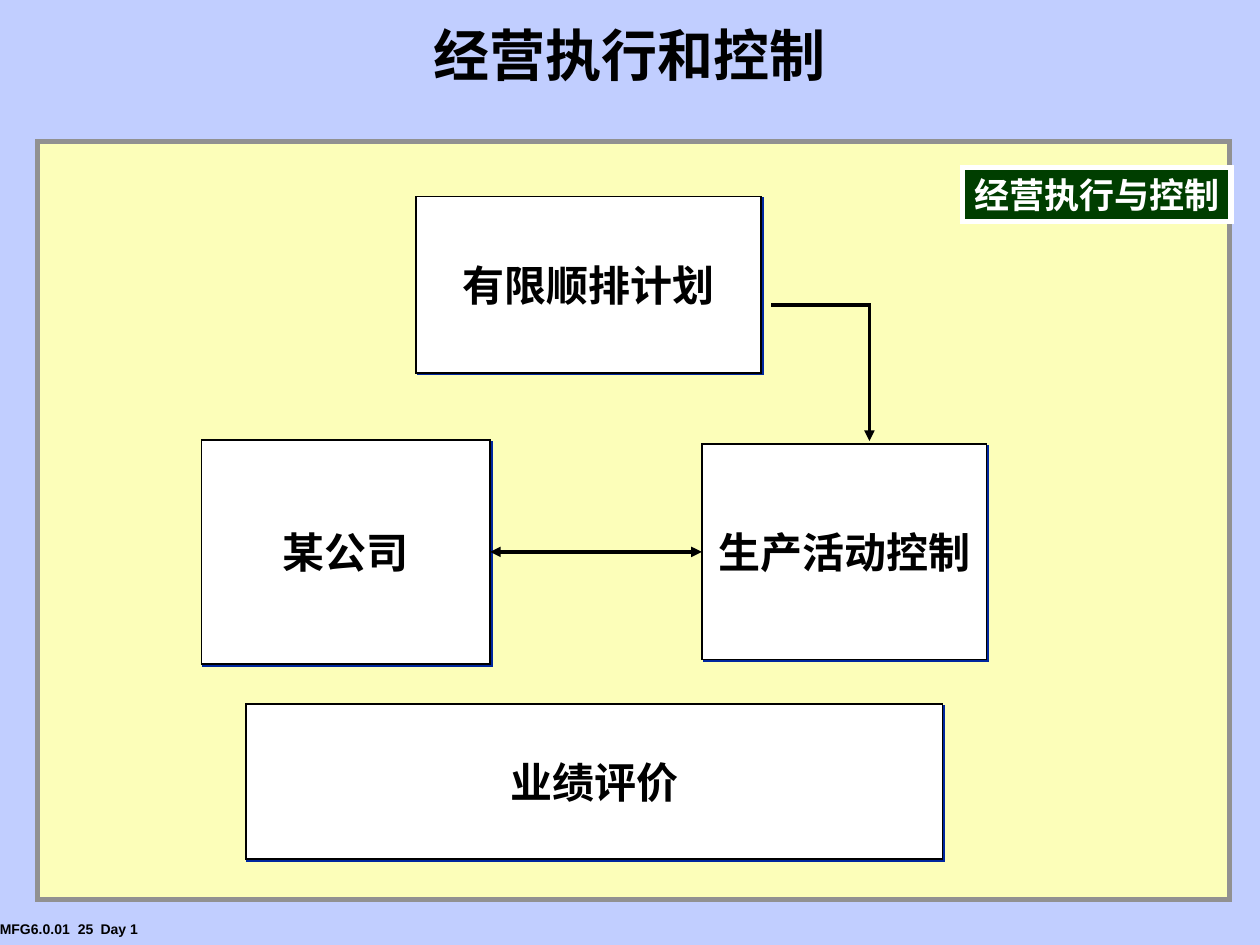
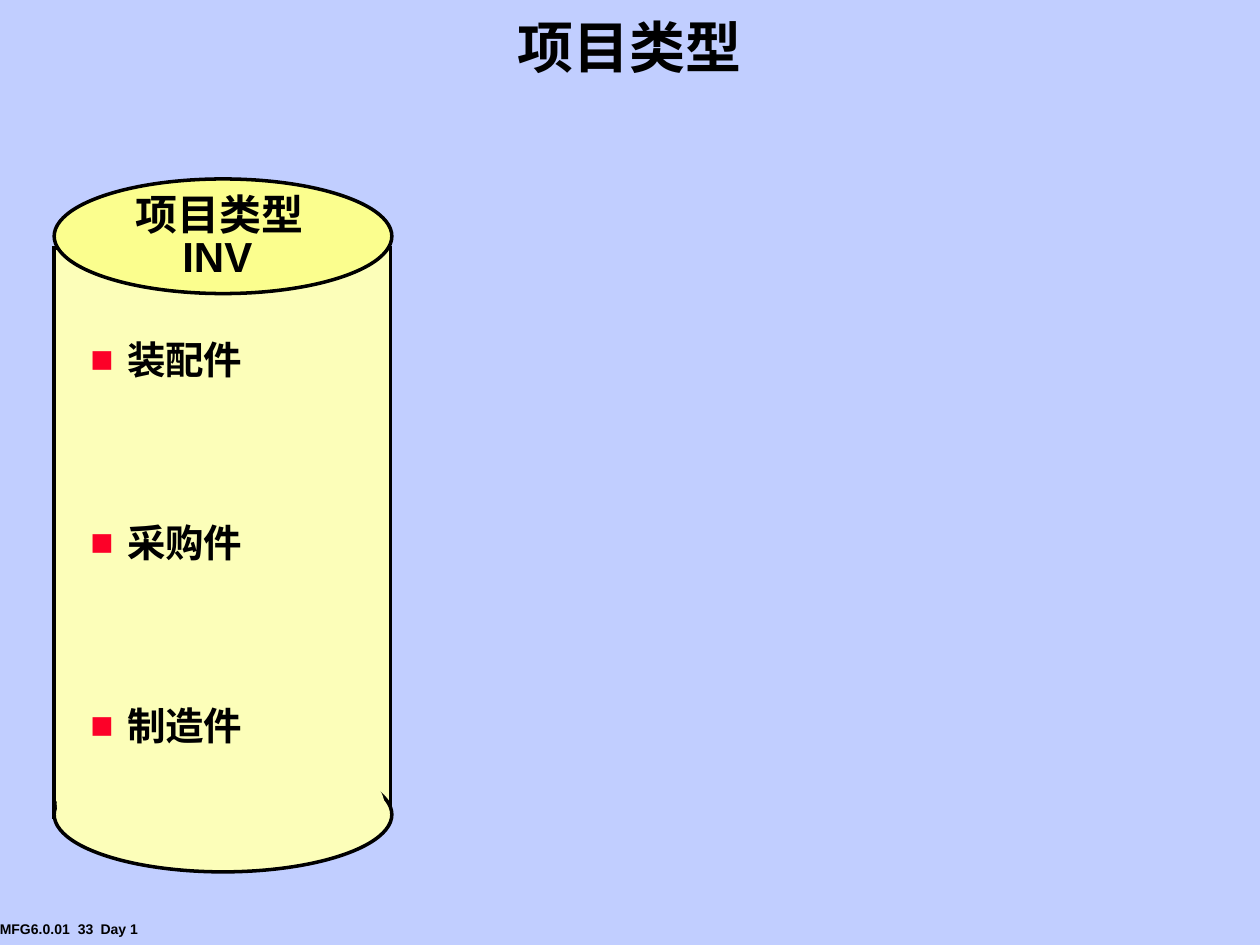
from lxml import etree
from pptx import Presentation
from pptx.dml.color import RGBColor
from pptx.enum.shapes import MSO_CONNECTOR, MSO_SHAPE
from pptx.enum.text import MSO_ANCHOR, MSO_AUTO_SIZE, PP_ALIGN
from pptx.oxml.ns import qn
from pptx.util import Inches, Pt

RECT, OVAL = MSO_SHAPE.RECTANGLE, MSO_SHAPE.OVAL
STRAIGHT = MSO_CONNECTOR.STRAIGHT
LEFT, CENTER = PP_ALIGN.LEFT, PP_ALIGN.CENTER
TOP, MIDDLE = MSO_ANCHOR.TOP, MSO_ANCHOR.MIDDLE
GROW = MSO_AUTO_SIZE.SHAPE_TO_FIT_TEXT

COLS, ROWS = 100, 75
WIDTH, HEIGHT = Inches(10), Inches(7.5)
LATIN, CJK = "Arial", "Noto Sans CJK SC"
BLACK, WHITE, GREEN, RED = "000000", "FFFFFF", "003E00", "FC0128"
SKY, CREAM, YELLOW = "C1CEFF", "FCFEB9", "FBFE8E"
GRAY, NAVY = "919191", "00279F"


def rgb(value):
    """Turn a hex string into a colour."""
    return RGBColor.from_string(value)


def at(col, row):
    """Turn a grid column and row into slide lengths."""
    return round(WIDTH * col / COLS), round(HEIGHT * row / ROWS)


def sub(parent, tag, **attrs):
    """Append a drawing element with its attributes."""
    return etree.SubElement(parent, qn(tag), attrs)


def add_bullet(p, hang):
    """Give a paragraph a red square bullet with a hanging indent."""
    pPr = p._p.get_or_add_pPr()
    indent = at(hang, 0)[0]
    pPr.set("marL", str(indent))
    pPr.set("indent", str(-indent))
    sub(sub(pPr, "a:buClr"), "a:srgbClr", val=RED)
    sub(pPr, "a:buFont", typeface=LATIN)
    sub(pPr, "a:buChar", char="■")


def add_tabs(p, stops):
    """Set left tab stops, given in grid columns."""
    tabs = sub(p._p.get_or_add_pPr(), "a:tabLst")
    for stop in stops:
        sub(tabs, "a:tab", pos=str(at(stop, 0)[0]), algn="l")


def write(sp, text, size=24, font=LATIN, color=BLACK, align=LEFT, anchor=TOP,
          wrap=False, grow=False, inset=1, spacing=None, hang=None, tabs=None):
    """Write one bold paragraph into a shape."""
    tf = sp.text_frame
    tf.word_wrap = wrap
    tf.vertical_anchor = anchor
    tf.margin_left = tf.margin_right = at(inset, 0)[0]
    if grow:
        tf.auto_size = GROW
    p = tf.paragraphs[0]
    p.alignment = align
    if spacing:
        p.line_spacing = spacing
    if hang:
        add_bullet(p, hang)
    if tabs:
        add_tabs(p, tabs)
    r = p.add_run()
    r.text = text
    r.font.size, r.font.bold, r.font.name = Pt(size), True, font
    r.font.color.rgb = rgb(color)
    sub(r._r.get_or_add_rPr(), "a:ea", typeface=font)


def add_label(s, box, text, **fmt):
    """Add a text box on the grid."""
    sp = s.shapes.add_textbox(*at(*box[:2]), *at(*box[2:]))
    write(sp, text, **fmt)


def style_line(sp, color, weight):
    """Colour a line and give it square corners."""
    sp.line.color.rgb = rgb(color)
    sp.line.width = Pt(weight)
    sub(sp.line._get_or_add_ln(), "a:miter", lim="800000")


def add_panel(s, kind, box, fill, line=None, weight=2):
    """Add a flat filled shape on the grid."""
    sp = s.shapes.add_shape(kind, *at(*box[:2]), *at(*box[2:]))
    sp.shadow.inherit = False
    sp.fill.solid()
    sp.fill.fore_color.rgb = rgb(fill)
    if line:
        style_line(sp, line, weight)
    else:
        sp.line.fill.background()
    return sp


def add_step(s, box, text):
    """Add a white process box with a hard navy shadow."""
    sp = add_panel(s, RECT, box, WHITE, BLACK, 1)
    effects = sp._element.spPr.find(qn("a:effectLst"))
    shadow = sub(effects, "a:outerShdw", dist=str(Pt(1.4)), dir="2700000",
                 algn="ctr", rotWithShape="0")
    sub(shadow, "a:srgbClr", val=NAVY)
    write(sp, text, font=CJK, align=CENTER, anchor=MIDDLE)
    return sp


def style_arrow(sp, *ends):
    """Draw a line in black with triangles at the named ends."""
    style_line(sp, BLACK, 2)
    for end in ends:
        sub(sp.line._get_or_add_ln(), "a:" + end, type="triangle")


def add_double_arrow(s, left_box, right_box):
    """Join the facing sides of two boxes with a two-way arrow."""
    line = s.shapes.add_connector(STRAIGHT, 0, 0, 0, 0)
    line.begin_connect(left_box, 3)
    line.end_connect(right_box, 1)
    style_arrow(line, "headEnd", "tailEnd")
    sub(line._element.spPr, "a:effectLst")


def add_bent_arrow(s, start, *points):
    """Add an open path with an arrowhead at its end."""
    path = s.shapes.build_freeform(*at(*start))
    path.add_line_segments([at(*point) for point in points], close=False)
    sp = path.convert_to_shape()
    sp.shadow.inherit = False
    sp.fill.background()
    style_arrow(sp, "tailEnd")


def add_slide(prs, title, number, title_box, font):
    """Add a slide with its title and footer."""
    s = prs.slides.add_slide(prs.slide_layouts[6])
    add_label(s, (-1, 72.6, 15, 2.3), f"MFG6.0.01\t{number}\tDay 1", size=8,
              wrap=True, tabs=(6.2, 8))
    add_label(s, title_box, title, size=32, font=font, align=CENTER,
              anchor=MIDDLE, wrap=True, spacing=0.9)
    return s


def add_execution_slide(prs):
    """Build the execution and control flow."""
    s = add_slide(prs, "经营执行和控制", 25, (5.8, 1.2, 88.3, 6.8), CJK)
    add_panel(s, RECT, (3, 11.2, 94.6, 60.2), CREAM, GRAY, 3)
    tag = add_panel(s, RECT, (76.4, 13.3, 21.3, 4.3), GREEN, WHITE, 3)
    write(tag, "经营执行与控制", size=20, font=CJK, color=WHITE, align=CENTER,
          inset=0.2)
    add_step(s, (33, 15.6, 27.4, 14), "有限顺排计划")
    add_step(s, (19.5, 55.9, 55.3, 12.3), "业绩评价")
    activity = add_step(s, (55.7, 35.25, 22.6, 17.1), "生产活动控制")
    company = add_step(s, (16, 34.9, 22.9, 17.8), "某公司")
    add_double_arrow(s, company, activity)
    add_bent_arrow(s, (61.2, 24.2), (69, 24.2), (69, 35))


def add_item_types_slide(prs):
    """Build the item type cylinder with its list."""
    s = add_slide(prs, "项目类型", 33, (0, 0.6, 99.9, 6.8), LATIN)
    add_panel(s, RECT, (4.3, 19.7, 26.7, 45.2), CREAM, BLACK)
    for row, fill in ((14.2, YELLOW), (60.1, CREAM)):
        add_panel(s, OVAL, (4.3, row, 26.8, 9.1), fill, BLACK)
    add_panel(s, OVAL, (4.5, 59.1, 26, 9.4), CREAM)
    for row, col, text in ((14.5, 7.4, "项目类型"), (17.8, 7.25, "INV")):
        add_label(s, (col, row, 20, 5), text, align=CENTER, wrap=True)
    for i, item in enumerate(("装配件", "采购件", "制造件")):
        add_label(s, (6.2, 26.2 + 14.5 * i, 22, 4.6), item, size=22,
                  hang=2.9, wrap=True)


def main():
    """Build and save the presentation."""
    prs = Presentation()
    prs.slide_width, prs.slide_height = WIDTH, HEIGHT
    fill = prs.slide_master.background.fill
    fill.solid()
    fill.fore_color.rgb = rgb(SKY)
    add_execution_slide(prs)
    add_item_types_slide(prs)
    prs.save("out.pptx")


if __name__ == "__main__":
    main()
